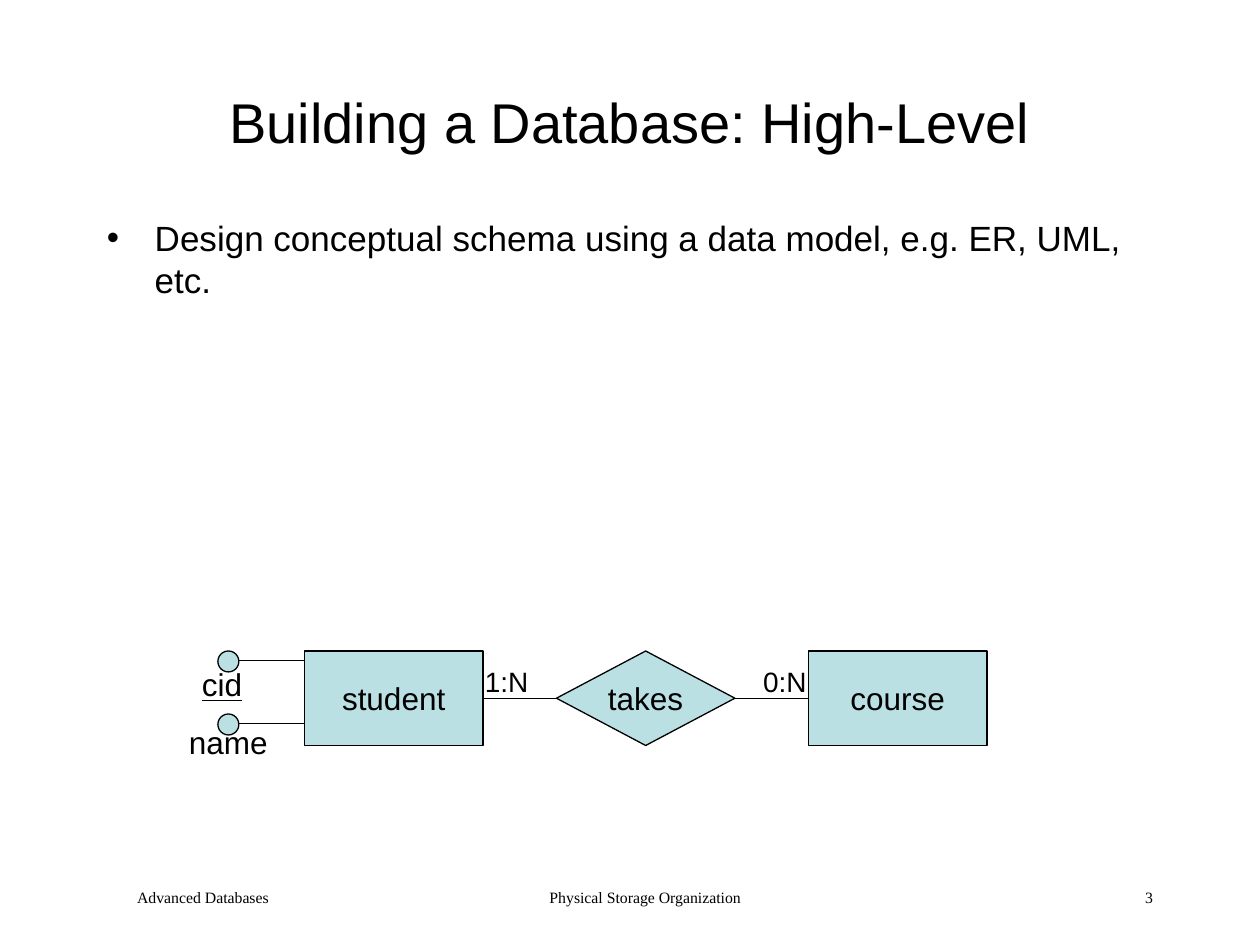
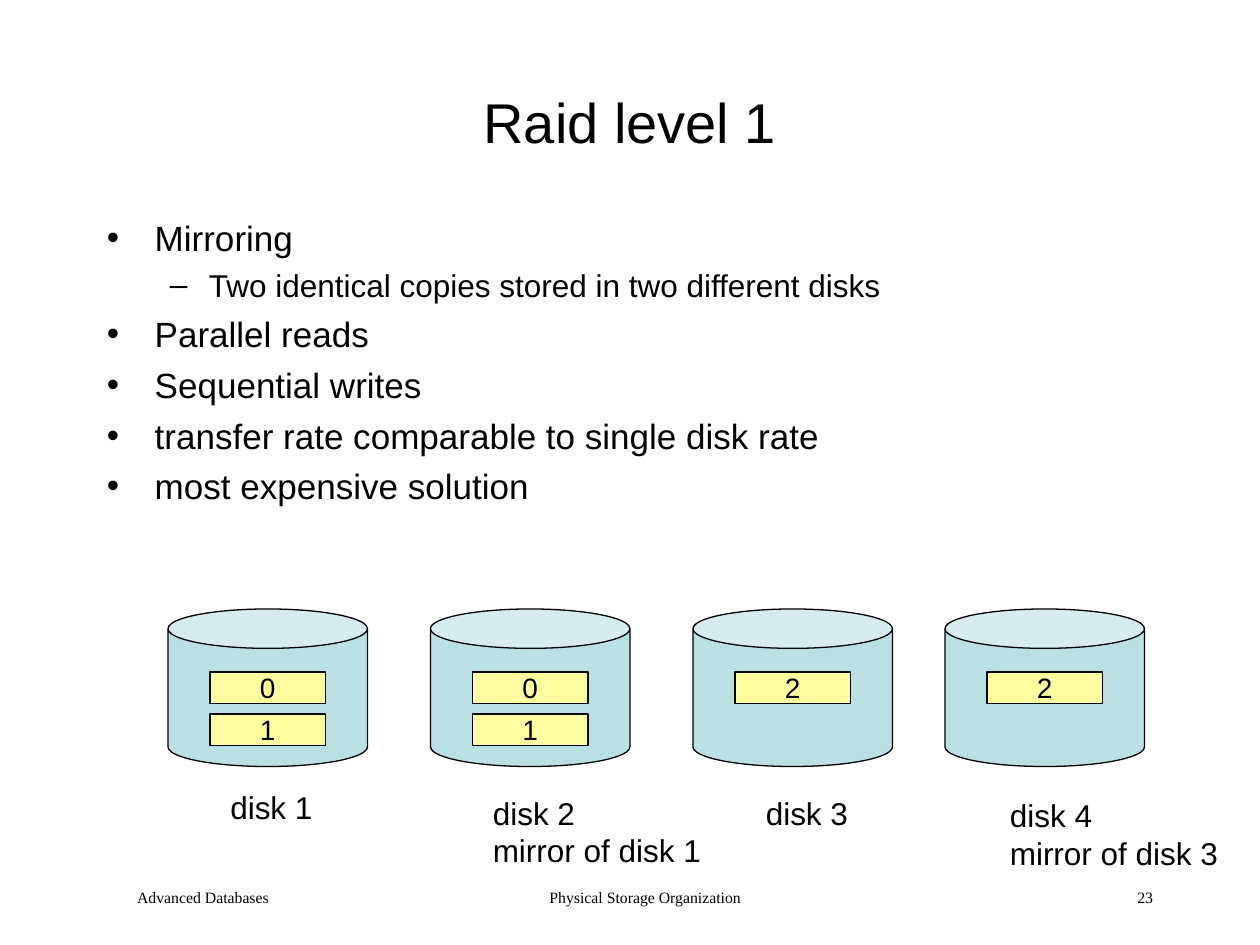
from dataclasses import dataclass
from lxml.etree import SubElement
from pptx import Presentation
from pptx.dml.color import RGBColor
from pptx.enum.shapes import MSO_CONNECTOR, MSO_SHAPE
from pptx.enum.text import MSO_ANCHOR, PP_ALIGN
from pptx.oxml.ns import qn
from pptx.util import Inches, Pt

COLS, ROWS = 120, 90  # twelve grid cells to the inch
UNIT = Inches(10) / COLS


@dataclass(frozen=True)
class Theme:
    ink: RGBColor = RGBColor(0, 0, 0)
    fill: RGBColor = RGBColor(0xBB, 0xE0, 0xE3)
    block: RGBColor = RGBColor(0xFF, 0xFD, 0xA0)
    sans: str = "Arial"
    serif: str = "Times New Roman"
    title: int = 32
    body: int = 20
    label: int = 18
    small: int = 16
    foot: int = 9
    line: float = 0.75


T = Theme()
# mark, type size, left margin and hanging indent in inches, space before
LEVELS = [("•", T.body, 0.38, -0.38, 5), ("–", T.label, 0.81, -0.31, 4.5)]


def grid(*cells):
    return [round(cell * UNIT) for cell in cells]


def write(shape, text, size, align=PP_ALIGN.LEFT, anchor=MSO_ANCHOR.TOP,
          wrap=True, font=T.sans):
    frame = shape.text_frame
    frame.text = text
    frame.word_wrap = wrap
    frame.vertical_anchor = anchor
    for par in frame.paragraphs:
        par.alignment = align
        for run in par.runs:
            run.font.name = font
            run.font.size = Pt(size)
            run.font.color.rgb = T.ink
    return frame


def add_text(slide, box, text, size, **style):
    return write(slide.shapes.add_textbox(*grid(*box)), text, size, **style)


def add_shape(slide, kind, box, fill=T.fill):
    shape = slide.shapes.add_shape(kind, *grid(*box))
    shape.shadow.inherit = False
    shape.fill.solid()
    shape.fill.fore_color.rgb = fill
    shape.line.color.rgb = T.ink
    shape.line.width = Pt(T.line)
    return shape


def add_node(slide, kind, box, text, size=T.label, fill=T.fill):
    """Draw a filled shape with its text in the middle."""
    write(add_shape(slide, kind, box, fill), text, size,
          align=PP_ALIGN.CENTER, anchor=MSO_ANCHOR.MIDDLE, wrap=False)


def add_link(slide, start, end, row):
    """Draw a level line between two columns."""
    link = slide.shapes.add_connector(
        MSO_CONNECTOR.STRAIGHT, *grid(start, row, end, row))
    link.line.color.rgb = T.ink
    link.line.width = Pt(T.line)
    SubElement(link._element.spPr, qn("a:effectLst"))


def indent(par, left, hang=0):
    props = par._p.get_or_add_pPr()
    props.set("marL", str(Inches(left)))
    props.set("indent", str(Inches(hang)))
    return props


def add_list(slide, box, items):
    """Write (level, text) items as a bulleted list."""
    text = "\n".join(item for _, item in items)
    frame = add_text(slide, box, text, T.body)
    for par, (level, _) in zip(frame.paragraphs, items):
        mark, size, left, hang, space = LEVELS[level]
        par.level = level
        par.space_before = Pt(space)
        par.runs[0].font.size = Pt(size)
        props = indent(par, left, hang)
        SubElement(props, qn("a:buFont"), typeface=T.sans)
        SubElement(props, qn("a:buChar"), char=mark)


def add_foot(slide, number):
    parts = [(9, 25, "Advanced Databases", PP_ALIGN.LEFT),
             (41, 38, "Physical Storage Organization", PP_ALIGN.CENTER),
             (86, 25, str(number), PP_ALIGN.RIGHT)]
    for col, width, text, align in parts:
        frame = add_text(slide, (col, 84, width, 4), text, T.foot,
                         align=align, font=T.serif)
        indent(frame.paragraphs[0], 0.24)


def add_page(deck, title, items, number):
    slide = deck.slides.add_slide(deck.slide_layouts[6])
    add_text(slide, (9, 4, 102, 15), title, T.title,
             align=PP_ALIGN.CENTER, anchor=MSO_ANCHOR.MIDDLE)
    add_list(slide, (9, 20, 102, 62), items)
    add_foot(slide, number)
    return slide


def add_field(slide, col, row, name, key=False):
    """Draw an attribute dot with its line; a key is underlined."""
    add_link(slide, col + 1.25, col + 8.25, row + 0.88)
    dot = add_shape(slide, MSO_SHAPE.FLOWCHART_CONNECTOR, (col, row, 2, 2))
    frame = write(dot, name, T.label, align=PP_ALIGN.CENTER, wrap=False)
    if key:
        frame.margin_left = frame.margin_bottom = 0
        frame.margin_top = Inches(0.09)
        frame.paragraphs[0].runs[0].font.underline = True


def add_model(slide, left, top):
    """Draw the student-takes-course diagram."""
    wide, high, step = 17, 9, 24
    box, choice = MSO_SHAPE.FLOWCHART_PROCESS, MSO_SHAPE.FLOWCHART_DECISION
    nodes = [(box, "student"), (choice, "takes"), (box, "course")]
    for i, (kind, name) in enumerate(nodes):
        add_node(slide, kind, (left + i * step, top, wide, high), name)
    for i, (count, shift) in enumerate([("1:N", -1), ("0:N", 1.5)]):
        start = left + wide + i * step
        add_link(slide, start, start + step - wide, top + high / 2)
        add_text(slide, (start + shift, top + 0.65, 6.5, 4.4), count,
                 T.small, wrap=False)
    add_field(slide, left - 8.25, top + 6, "name")
    add_field(slide, left - 8.25, top, "cid", key=True)


def add_disk(slide, left, top, blocks, label, shift, drop, width):
    """Draw a disk, its blocks and, shifted and dropped, its label."""
    add_shape(slide, MSO_SHAPE.CAN, (left, top, 19, 15))
    for i, block in enumerate(blocks):
        add_node(slide, MSO_SHAPE.RECTANGLE,
                 (left + 4, top + 6 + i * 4, 11, 3), block, T.small, T.block)
    high = 4.8 if "\n" not in label else 8.4
    add_text(slide, (left + shift, top + drop, width, high), label,
             T.label, wrap=False)


def main():
    deck = Presentation()
    deck.slide_width, deck.slide_height = grid(COLS, ROWS)

    model = add_page(deck, "Building a Database: High-Level", [
        (0, "Design conceptual schema using a data model, "
            "e.g. ER, UML, etc.")], 3)
    add_model(model, 29, 62)

    raid = add_page(deck, "Raid level 1", [
        (0, "Mirroring"),
        (1, "Two identical copies stored in two different disks"),
        (0, "Parallel reads"),
        (0, "Sequential writes"),
        (0, "transfer rate comparable to single disk rate"),
        (0, "most expensive solution")], 23)
    disks = [(16, "01", "disk 1", 4.75, 16.5, 10.2),
             (41, "01", "disk 2\nmirror of disk 1", 4.75, 17, 22.2),
             (66, "2", "disk 3", 5.75, 17, 10.2),
             (90, "2", "disk 4\nmirror of disk 3", 5, 17.2, 23)]
    for left, *rest in disks:
        add_disk(raid, left, 58, *rest)

    deck.save("out.pptx")


if __name__ == "__main__":
    main()
